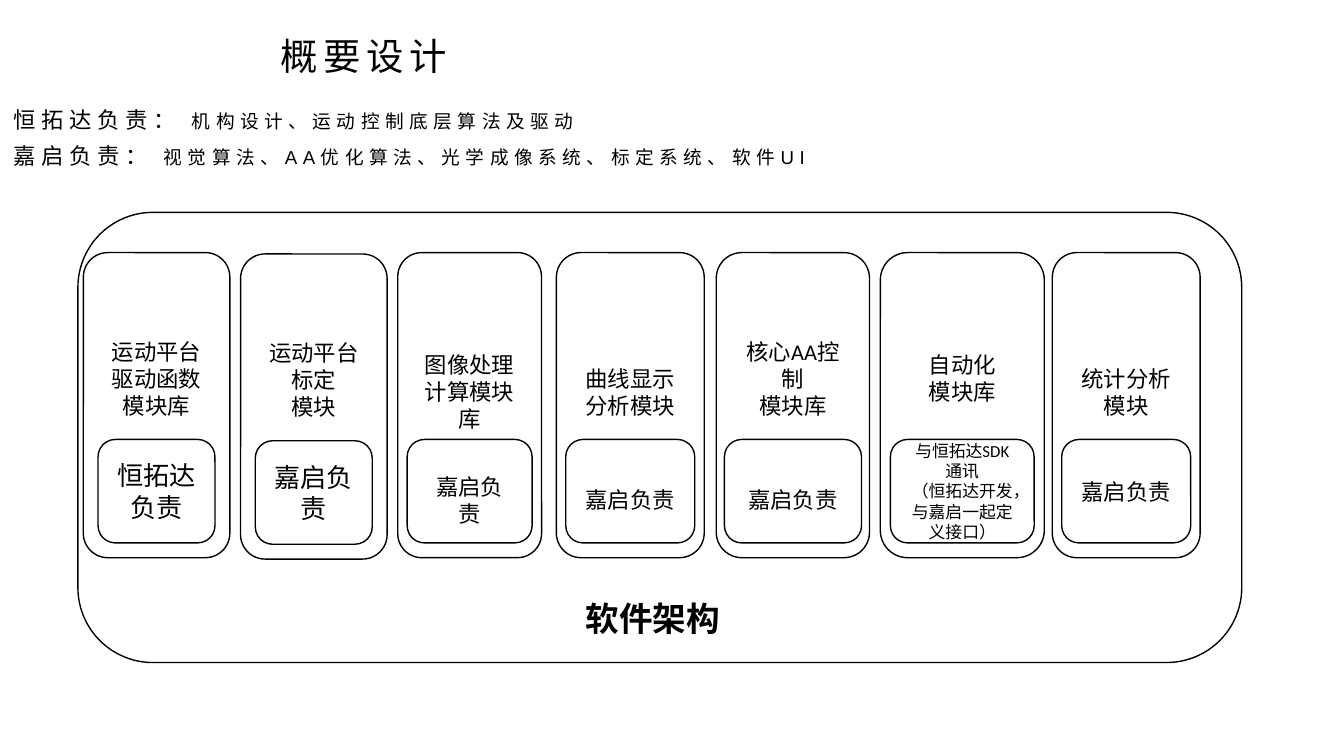
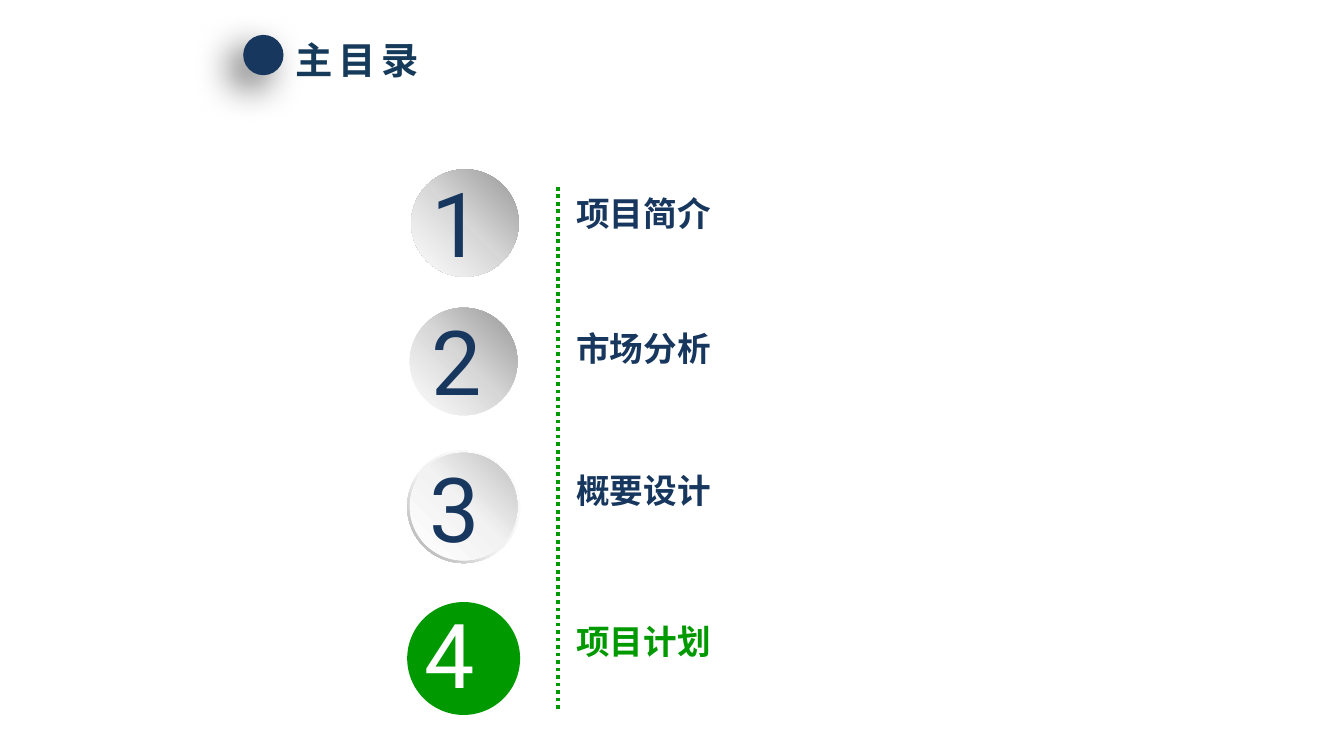
from lxml.etree import SubElement
from pptx import Presentation
from pptx.dml.color import RGBColor
from pptx.enum.dml import MSO_LINE
from pptx.enum.shapes import MSO_CONNECTOR, MSO_SHAPE
from pptx.enum.text import MSO_ANCHOR, MSO_AUTO_SIZE, PP_ALIGN
from pptx.oxml import parse_xml
from pptx.oxml.ns import nsdecls, qn
from pptx.util import Inches, Pt

BLACK, WHITE, NAVY, TITLE_NAVY, GREEN = "000000", "FFFFFF", "17375E", "163A5A", "009900"
CJK = "Noto Sans CJK SC"
GROWING = {"word_wrap": False, "auto_size": MSO_AUTO_SIZE.SHAPE_TO_FIT_TEXT,
           "vertical_anchor": MSO_ANCHOR.TOP}
WRAPPED = {**GROWING, "word_wrap": True}
BOXED = {"word_wrap": True, "vertical_anchor": MSO_ANCHOR.MIDDLE}


def paint(target, colour):
    target.rgb = RGBColor.from_string(colour)


def write(shape, paragraphs, frame_format, colour, alignment=PP_ALIGN.LEFT, spacing=0):
    frame = shape.text_frame
    for name, value in frame_format.items():
        setattr(frame, name, value)
    for index, runs in enumerate(paragraphs):
        paragraph = frame.paragraphs[0] if index == 0 else frame.add_paragraph()
        paragraph.alignment = alignment
        for text, font_format in runs:
            run = paragraph.add_run()
            run.text = text
            for name, value in font_format.items():
                setattr(run.font, name, value)
            paint(run.font.color, colour)
            properties = run.font._element
            east_asian = font_format["name"] if "CJK" in font_format["name"] else CJK
            SubElement(properties, qn("a:ea")).set("typeface", east_asian)
            if spacing:
                properties.set("spc", str(spacing * 100))


presentation = Presentation()
presentation.slide_width = Inches(10)
presentation.slide_height = presentation.slide_width * 9 // 16

titles = [
    ("概要设计", 1.99, 0.2, 1.49, BLACK, False),
    ("主目录", 2.1, 0.23, 1.17, TITLE_NAVY, True),
]
slides = []
for text, left, top, width, colour, bold in titles:
    slide = presentation.slides.add_slide(presentation.slide_layouts[5])
    title = slide.shapes.title
    place = {"left": left, "top": top, "width": width, "height": 0.44}
    for name, value in place.items():
        setattr(title, name, Inches(value))
    title_font = {"size": Pt(20), "name": CJK, "bold": bold}
    write(title, [[(text, title_font)]], GROWING, colour, spacing=3)
    slides.append(slide)
design, contents = slides

duties = [
    (0.74, "恒拓达负责： ", "机构设计、运动控制底层算法及驱动", 4.47),
    (1.01, "嘉启负责： ", "视觉算法、AA优化算法、光学成像系统、标定系统、软件UI", 6.16),
]
for top, party, duty, width in duties:
    box = design.shapes.add_textbox(Inches(0), Inches(top), Inches(width), Inches(0.3))
    runs = [(party, {"size": Pt(12), "name": "Noto Sans CJK JP"}),
            (duty, {"size": Pt(10), "name": "Arial"})]
    write(box, [runs], WRAPPED, BLACK, spacing=3)

OWNER = ["嘉启负责"]
modules = [
    (0.62, 1.88, 1.09, ["运动平台驱动函数", "模块库"], 2, 0.87, ["恒拓达负责"], 14, 0),
    (1.79, 1.89, 1.09, ["运动平台标定", "模块"], 2, 0.87, OWNER, 14, 0),
    (2.96, 1.88, 1.07, ["图像处理计算模块库"], 1, 0.93, OWNER, 12, 0.13),
    (4.14, 1.88, 1.1, ["曲线显示分析模块"], 1, 0.96, OWNER, 12, 0.13),
    (5.33, 1.88, 1.14, ["核心AA控制", "模块库"], 2, 1.02, OWNER, 12, 0.13),
    (6.55, 1.88, 1.22, ["自动化", "模块库"], 2, 1.07,
     ["与恒拓达SDK通讯", "（恒拓达开发，与嘉启一起定义接口）"], 9, 0),
    (7.83, 1.88, 1.1, ["统计分析模块"], 1, 0.96, OWNER, 12, 0),
]
boxes = [(0.58, 1.58, 8.66, 3.35, [], 12, 0, 0)]
for left, top, width, module, lift, owner_width, owner, owner_size, drop in modules:
    owner_left = left + (width - owner_width) / 2
    boxes.append((left, top, width, 2.27, module, 12, 0, lift * 0.2))
    boxes.append((owner_left, top + 1.39, owner_width, 0.77, owner, owner_size, drop, 0))
for left, top, width, height, lines, size, drop, lift in boxes:
    box = design.shapes.add_shape(MSO_SHAPE.ROUNDED_RECTANGLE, Inches(left), Inches(top),
                                  Inches(width), Inches(height))
    box.shadow.inherit = False
    box.fill.background()
    box.line.width = Pt(0.75)
    paint(box.line.color, BLACK)
    margins = {"margin_top": Inches(0.05 + drop), "margin_bottom": Inches(0.05 + lift)}
    font = {"size": Pt(size), "name": "Calibri"}
    write(box, [[(line, font)] for line in lines], {**BOXED, **margins}, BLACK, PP_ALIGN.CENTER)

caption = design.shapes.add_textbox(Inches(4.26), Inches(4.4), Inches(1.22), Inches(0.4))
caption_font = {"size": Pt(18), "name": "Calibri", "bold": True}
write(caption, [[("软件架构", caption_font)]], GROWING, BLACK)

dot = contents.shapes.add_shape(MSO_SHAPE.OVAL, Inches(1.81), Inches(0.26),
                                Inches(0.3), Inches(0.3))
dot.fill.solid()
paint(dot.fill.fore_color, NAVY)
dot.line.fill.background()
dot._element.spPr.append(parse_xml(
    f'<a:effectLst {nsdecls("a")}><a:outerShdw blurRad="{Pt(20)}" dist="{Pt(10)}" '
    f'dir="{135 * 60000}" rotWithShape="0"><a:srgbClr val="{BLACK}"><a:alpha val="60000"/>'
    '</a:srgbClr></a:outerShdw></a:effectLst>'))

divider = contents.shapes.add_connector(MSO_CONNECTOR.STRAIGHT, Inches(4.15), Inches(1.39),
                                        Inches(4.15), Inches(5.29))
divider.line.width = Pt(2)
divider.line.dash_style = MSO_LINE.ROUND_DOT
paint(divider.line.color, GREEN)
SubElement(divider._element.spPr, qn("a:effectLst"))

down_left = '<a:lin ang="8100000" scaled="0"/>'
up_right = '<a:lin ang="18900000" scaled="0"/>'
from_corner = '<a:path path="circle"><a:fillToRect l="100000" b="100000"/></a:path>'
silver = [(0, "979797"), (50, "D7D7D7"), (100, WHITE)]
pale = [(0, WHITE), (51, "F2F2F2"), (100, "BFBFBF")]
rim = [(0, WHITE), (55, "F2F2F2"), (100, "A6A6A6")]

chapters = [
    ("项目简介", 3.46, 1.66, WHITE, (silver, down_left), 3.11, 1.2, NAVY, 1.39, 2.3, NAVY),
    ("市场分析", 3.45, 2.69, None, (silver, from_corner), 3.11, 2.23, NAVY, 2.39, 2.7, NAVY),
    ("概要设计", 3.45, 3.77, (rim, down_left), (pale, up_right), 3.1, 3.32, NAVY, 3.45, 2.33, NAVY),
    ("项目计划", 3.45, 4.9, GREEN, GREEN, 3.06, 4.41, WHITE, 4.57, 2.39, GREEN),
]
for number, chapter in enumerate(chapters, 1):
    (name, center_x, center_y, ring, disc, digit_left, digit_top, digit_colour,
     name_top, name_width, name_colour) = chapter
    badge = contents.shapes.add_group_shape()
    for kind, size, fill in [(MSO_SHAPE.DONUT, 0.84, ring), (MSO_SHAPE.OVAL, 0.8, disc)]:
        if fill is None:
            continue
        circle = badge.shapes.add_shape(kind, Inches(center_x - size / 2),
                                        Inches(center_y - size / 2), Inches(size), Inches(size))
        circle.shadow.inherit = False
        circle.line.fill.background()
        if kind == MSO_SHAPE.DONUT:
            circle.adjustments[0] = 0.05
        if isinstance(fill, str):
            circle.fill.solid()
            paint(circle.fill.fore_color, fill)
        else:
            stops, direction = fill
            stop_list = "".join(f'<a:gs pos="{position * 1000}"><a:srgbClr val="{colour}"/></a:gs>'
                                for position, colour in stops)
            circle._element.spPr.insert(2, parse_xml(
                f'<a:gradFill {nsdecls("a")} rotWithShape="1"><a:gsLst>{stop_list}</a:gsLst>'
                f'{direction}</a:gradFill>'))
    digit = badge.shapes.add_textbox(Inches(digit_left), Inches(digit_top),
                                     Inches(0.72), Inches(0.91))
    write(digit, [[(str(number), {"size": Pt(48), "name": "Roboto"})]], GROWING, digit_colour)
    label = contents.shapes.add_textbox(Inches(4.19), Inches(name_top),
                                        Inches(name_width), Inches(0.4))
    label_font = {"size": Pt(18), "name": CJK, "bold": True}
    write(label, [[(name, label_font)]], WRAPPED, name_colour)

presentation.save("out.pptx")
